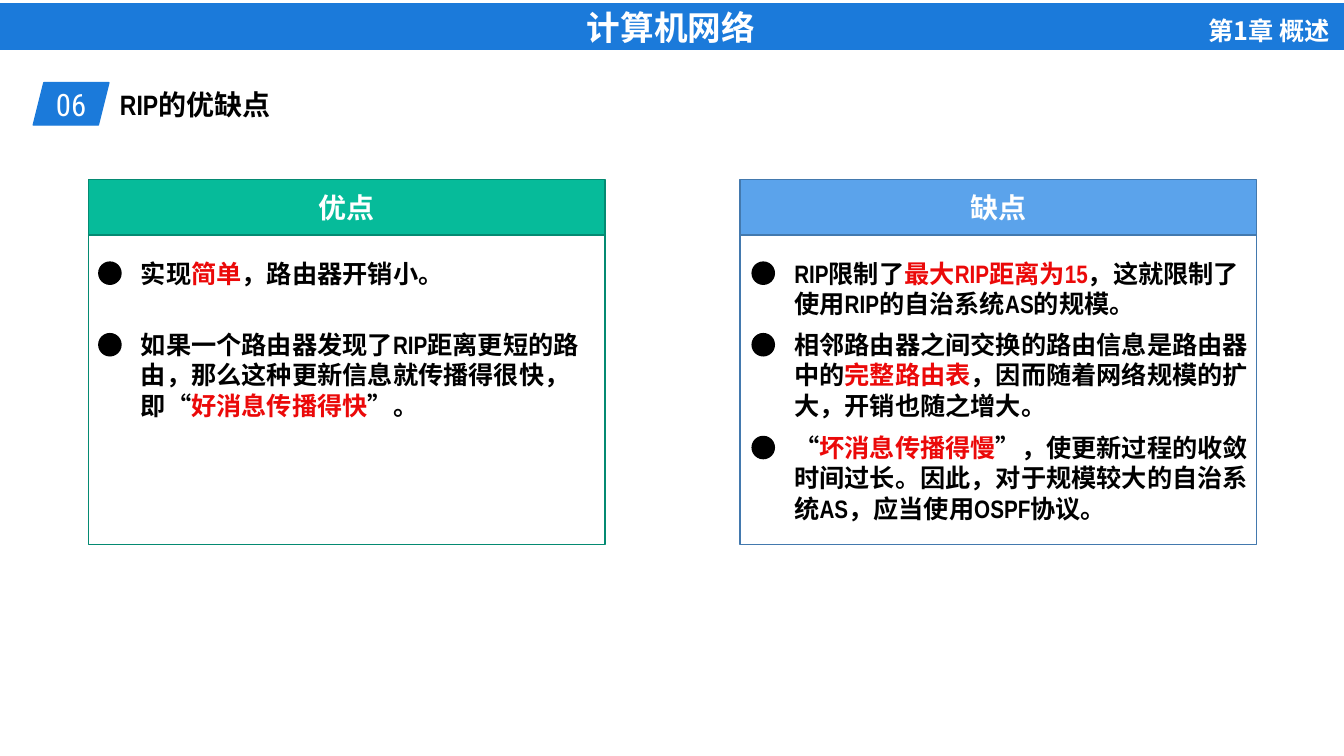
from dataclasses import dataclass

from lxml import etree
from pptx import Presentation
from pptx.dml.color import RGBColor
from pptx.enum.shapes import MSO_SHAPE
from pptx.enum.text import MSO_ANCHOR, MSO_AUTO_SIZE, PP_ALIGN
from pptx.oxml.ns import qn
from pptx.shapes.autoshape import Shape
from pptx.util import Emu, Pt

PX = 9144  # 100 px to the inch

RECT, ELLIPSE, SLANTED = MSO_SHAPE.RECTANGLE, MSO_SHAPE.OVAL, MSO_SHAPE.PARALLELOGRAM
LEFT, CENTER, RIGHT = PP_ALIGN.LEFT, PP_ALIGN.CENTER, PP_ALIGN.RIGHT
TOP, MIDDLE = MSO_ANCHOR.TOP, MSO_ANCHOR.MIDDLE
GROW = MSO_AUTO_SIZE.SHAPE_TO_FIT_TEXT

BLUE = RGBColor(0x1B, 0x7A, 0xDA)
GREEN = RGBColor(0x06, 0xBB, 0x9A)
DARK_GREEN = RGBColor(0x04, 0x8A, 0x72)
SKY = RGBColor(0x5B, 0xA3, 0xEB)
DARK_SKY = RGBColor(0x43, 0x79, 0xAE)
RED = RGBColor(0xEB, 0x09, 0x09)
BLACK = RGBColor(0, 0, 0)
WHITE = RGBColor(0xFF, 0xFF, 0xFF)

BODY_FONT = "Arial Narrow"
NUMBER_FONT = "Roboto Condensed"
CJK_FONT = "Noto Sans CJK SC"

PANEL_TOP, PANEL_WIDTH, HEADER_HEIGHT, BODY_HEIGHT = 178, 512, 55, 307
DOT_SIZE, DOT_DROP, TEXT_INDENT, TEXT_WIDTH = 22, 9, 32, 473

Box = tuple[int, int, int, int]


@dataclass(frozen=True)
class Point:
    """One bulleted statement with its key phrase in red."""
    top: int
    height: int
    before: str
    key: str
    after: str


@dataclass(frozen=True)
class Panel:
    heading: str
    left: int
    dot_left: int
    fill: RGBColor
    line: RGBColor
    points: tuple[Point, ...]


PANELS = (
    Panel("优点", 88, 98, GREEN, DARK_GREEN, (
        Point(251, 40, "实现", "简单", "，路由器开销小。"),
        Point(322, 101, "如果一个路由器发现了RIP距离更短的路由，那么这种更新信息就传播得很快，即“",
              "好消息传播得快", "”。"),
    )),
    Panel("缺点", 734, 746, SKY, DARK_SKY, (
        Point(251, 71, "RIP限制了", "最大RIP距离为15", "，这就限制了使用RIP的自治系统AS的规模。"),
        Point(322, 101, "相邻路由器之间交换的路由信息是路由器中的", "完整路由表",
              "，因而随着网络规模的扩大，开销也随之增大。"),
        Point(424, 101, "“", "坏消息传播得慢",
              "”，使更新过程的收敛时间过长。因此，对于规模较大的自治系统AS，应当使用OSPF协议。"),
    )),
)


def emu(box: Box) -> list[Emu]:
    return [Emu(n * PX) for n in box]


def write(s: Shape, *runs: tuple[str, RGBColor], size: int, font: str = BODY_FONT,
          bold: bool = True, align: PP_ALIGN = LEFT, anchor: MSO_ANCHOR = TOP) -> None:
    tf = s.text_frame
    tf.word_wrap = True
    tf.vertical_anchor = anchor
    p = tf.paragraphs[0]
    p.alignment = align
    for text, color in runs:
        r = p.add_run()
        r.text = text
        r.font.size = Pt(size)
        r.font.bold = bold
        r.font.name = font
        r.font.color.rgb = color
        etree.SubElement(r.font._element, qn("a:ea"), typeface=CJK_FONT)


def add_block(shapes, kind: MSO_SHAPE, box: Box, fill: RGBColor | None, line: RGBColor) -> Shape:
    s = shapes.add_shape(kind, *emu(box))
    s.shadow.inherit = False
    if fill is None:
        s.fill.background()
    else:
        s.fill.solid()
        s.fill.fore_color.rgb = fill
    s.line.color.rgb = line
    s.line.width = Pt(1)
    return s


def add_text(shapes, box: Box, *runs: tuple[str, RGBColor], **style) -> None:
    s = shapes.add_textbox(*emu(box))
    write(s, *runs, **style)
    s.text_frame.auto_size = GROW


def add_panel(shapes, panel: Panel) -> None:
    header = add_block(shapes, RECT, (panel.left, PANEL_TOP, PANEL_WIDTH, HEADER_HEIGHT),
                       panel.fill, panel.line)
    write(header, (panel.heading, WHITE), size=20, align=CENTER, anchor=MIDDLE)
    add_block(shapes, RECT, (panel.left, PANEL_TOP + HEADER_HEIGHT, PANEL_WIDTH, BODY_HEIGHT),
              None, panel.line)
    for point in panel.points:
        add_block(shapes, ELLIPSE, (panel.dot_left, point.top + DOT_DROP, DOT_SIZE, DOT_SIZE),
                  BLACK, BLACK)
        add_text(shapes, (panel.dot_left + TEXT_INDENT, point.top, TEXT_WIDTH, point.height),
                 (point.before, BLACK), (point.key, RED), (point.after, BLACK), size=18)


def main() -> None:
    prs = Presentation()
    prs.slide_width, prs.slide_height = Emu(1333 * PX), Emu(750 * PX)
    slide = prs.slides.add_slide(prs.slide_layouts[5])
    shapes = slide.shapes

    title = shapes.title
    title.left, title.top, title.width, title.height = emu((109, 82, 558, 44))
    write(title, ("RIP的优缺点", BLACK), size=20)
    title.text_frame.auto_size = GROW

    banner = add_block(shapes, RECT, (-2, 4, 1335, 45), BLUE, BLUE)
    write(banner, ("计算机网络", WHITE), size=24, align=CENTER, anchor=MIDDLE)
    add_text(shapes, (1111, 10, 218, 40), ("第1章 概述", WHITE),
             size=18, font=CJK_FONT, align=RIGHT)
    number = add_block(shapes, SLANTED, (33, 82, 75, 42), BLUE, BLUE)
    write(number, ("06", WHITE), size=22, font=NUMBER_FONT, bold=False,
          align=CENTER, anchor=MIDDLE)

    for panel in PANELS:
        add_panel(shapes, panel)
    prs.save("out.pptx")


if __name__ == "__main__":
    main()
